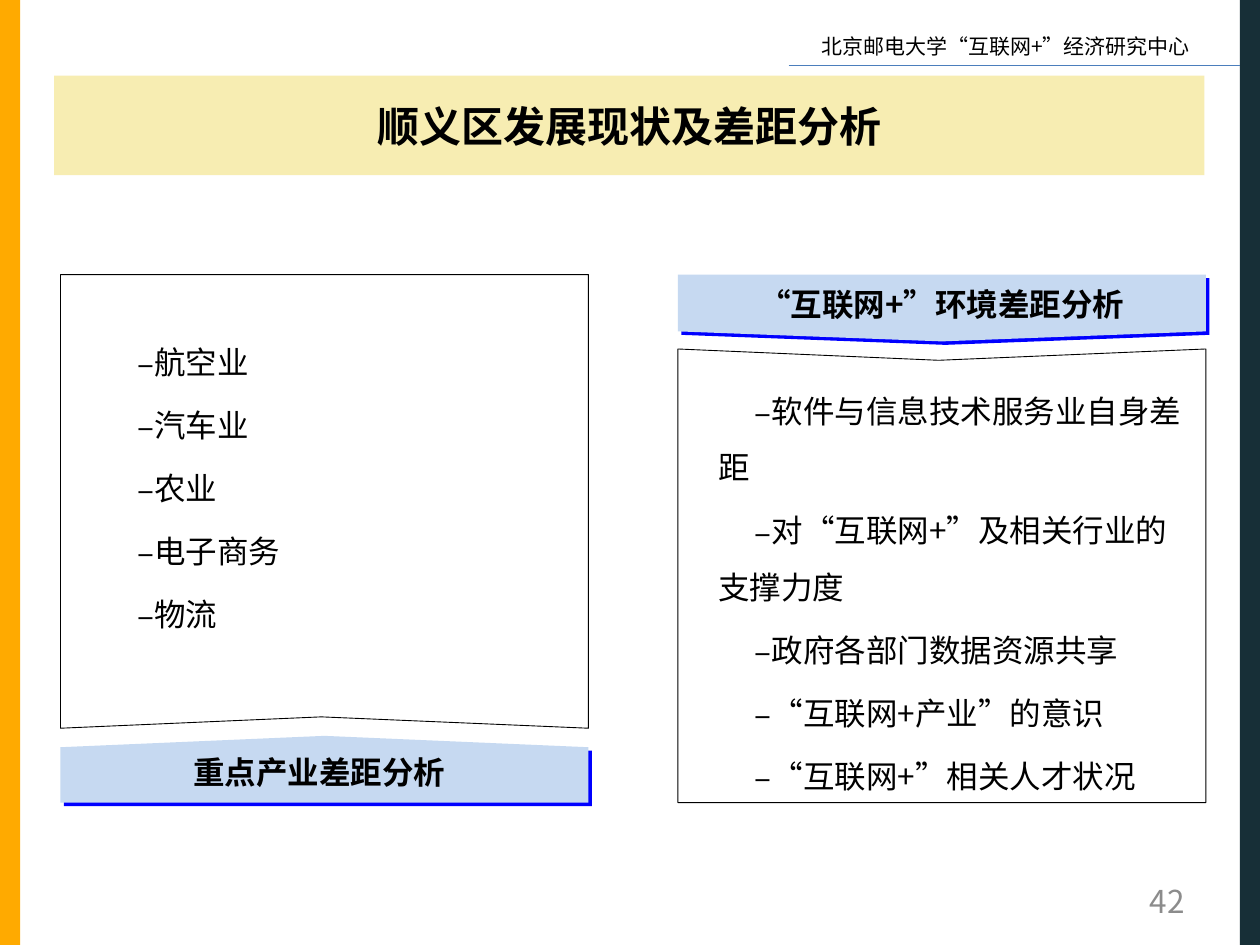
from lxml.etree import SubElement
from pptx import Presentation
from pptx.dml.color import RGBColor
from pptx.enum.shapes import MSO_CONNECTOR, MSO_SHAPE
from pptx.enum.text import MSO_ANCHOR, PP_ALIGN
from pptx.oxml.ns import qn
from pptx.util import Inches, Pt

FONT = "Noto Sans CJK SC"
BLACK = RGBColor(0x00, 0x00, 0x00)
GRAY = RGBColor(0x8C, 0x8C, 0x8C)
ORANGE = RGBColor(0xFF, 0xAA, 0x00)
DARK_TEAL = RGBColor(0x17, 0x2F, 0x37)
RULE_BLUE = RGBColor(0x4B, 0x7E, 0xBC)
PALE_BLUE = RGBColor(0xC6, 0xD9, 0xF1)
SHADOW_BLUE = RGBColor(0x00, 0x00, 0xFF)
GOLD = RGBColor(0xE9, 0xCD, 0x23)

HEADER = "北京邮电大学“互联网+”经济研究中心"
TITLE = "顺义区发展现状及差距分析"
PAGE_NUMBER = "42"
PANELS = [
    {
        "heading": "重点产业差距分析",
        "items": ["航空业", "汽车业", "农业", "电子商务", "物流"],
        "left": 0.48, "heading_below": True, "notch": 0.17,
        "label_offset": (0.27, 0.19), "list_offset": 0.39,
    },
    {
        "heading": "“互联网+”环境差距分析",
        "items": ["软件与信息技术服务业自身差距", "对“互联网+”及相关行业的支撑力度",
                  "政府各部门数据资源共享", "“互联网+产业”的意识", "“互联网+”相关人才状况"],
        "left": 5.38, "heading_below": False, "notch": 0.15,
        "label_offset": (0.31, 0.13), "list_offset": 0.19,
    },
]
PANEL_TOP, PANEL_BOTTOM, PANEL_WIDTH = 2.18, 6.37, 4.19
BODY_HEIGHT, HEADING_HEIGHT, PEAK = 3.6, 0.53, 0.09


def add_run(paragraph, text, size, color=BLACK, bold=False):
    run = paragraph.add_run()
    run.text = text
    run.font.name = FONT
    run.font.size = Pt(size)
    run.font.bold = bold
    run.font.color.rgb = color
    SubElement(run.font._element, qn("a:ea"), typeface=FONT)


def add_box(slide, left, top, width, height, inset=None, anchor=MSO_ANCHOR.TOP):
    box = slide.shapes.add_textbox(Inches(left), Inches(top), Inches(width), Inches(height))
    frame = box.text_frame
    frame.word_wrap = True
    frame.vertical_anchor = anchor
    if inset is not None:
        frame.margin_left = frame.margin_right = Inches(inset)
        frame.margin_top = frame.margin_bottom = Inches(inset)
    return frame


def add_filled(slide, preset, left, top, width, height, color):
    shape = slide.shapes.add_shape(preset, Inches(left), Inches(top), Inches(width), Inches(height))
    shape.shadow.inherit = False
    shape.fill.solid()
    shape.fill.fore_color.rgb = color
    shape.line.fill.background()
    return shape


def add_dash_bullet(paragraph):
    properties = paragraph._p.get_or_add_pPr()
    properties.set("marL", str(Inches(0.21)))
    properties.set("indent", str(Inches(0.29)))
    bullet_color = SubElement(properties, qn("a:buClr"))
    SubElement(bullet_color, qn("a:srgbClr"), val=str(BLACK))
    SubElement(properties, qn("a:buFont"), typeface=FONT)
    SubElement(properties, qn("a:buChar"), char="–")
    tabs = SubElement(properties, qn("a:tabLst"))
    SubElement(tabs, qn("a:tab"), pos=str(Inches(9.32)), algn="r")


def add_heading_plate(slide, left, top, panel):
    """Draw the pentagon, turned so that its point faces up or down."""
    plate = add_filled(slide, MSO_SHAPE.PENTAGON,
                       left + (PANEL_WIDTH - HEADING_HEIGHT) / 2,
                       top + (HEADING_HEIGHT - PANEL_WIDTH) / 2,
                       HEADING_HEIGHT, PANEL_WIDTH, PALE_BLUE)
    plate.adjustments[0] = panel["notch"]
    plate.rotation = 270 if panel["heading_below"] else 90
    effects = plate._element.spPr.find(qn("a:effectLst"))
    shadow = SubElement(effects, qn("a:outerShdw"), dist=str(Pt(2.8)),
                        dir=str(45 * 60000), algn="ctr", rotWithShape="0")
    SubElement(shadow, qn("a:srgbClr"), val=str(SHADOW_BLUE))


def add_body_outline(slide, left, top, heading_below):
    """Draw the frame whose side facing the heading is bent in the middle."""
    right, bottom = left + PANEL_WIDTH, top + BODY_HEIGHT
    near, far = (bottom, top) if heading_below else (top, bottom)
    peak = near - PEAK if heading_below else near + PEAK
    corners = [(left + 2.07, peak), (right, near), (right, far), (left, far)]
    builder = slide.shapes.build_freeform(Inches(left), Inches(near))
    builder.add_line_segments([(Inches(x), Inches(y)) for x, y in corners], close=True)
    outline = builder.convert_to_shape()
    outline.shadow.inherit = False
    outline.fill.background()
    outline.line.color.rgb = BLACK
    outline.line.width = Pt(0.5)


def add_panel(slide, panel):
    left, below = panel["left"], panel["heading_below"]
    body_top = PANEL_TOP if below else PANEL_BOTTOM - BODY_HEIGHT
    heading_top = PANEL_BOTTOM - HEADING_HEIGHT if below else PANEL_TOP

    add_heading_plate(slide, left, heading_top, panel)
    add_body_outline(slide, left, body_top, below)

    frame = add_box(slide, left + 0.11, body_top + panel["list_offset"], 3.99, 0.23, inset=0)
    for index, item in enumerate(panel["items"]):
        paragraph = frame.add_paragraph() if index else frame.paragraphs[0]
        add_dash_bullet(paragraph)
        paragraph.level = 1
        paragraph.line_spacing = 1.5
        paragraph.space_before = Pt(3.6 if index else 0)
        add_run(paragraph, item, 18)

    dx, dy = panel["label_offset"]
    label = add_box(slide, left + dx, heading_top + dy, 3.57, 0.2, 0, MSO_ANCHOR.MIDDLE)
    label.paragraphs[0].alignment = PP_ALIGN.CENTER
    add_run(label.paragraphs[0], panel["heading"], 18, bold=True)


def main():
    presentation = Presentation()
    presentation.slide_width, presentation.slide_height = Inches(10), Inches(7.5)
    slide = presentation.slides.add_slide(presentation.slide_layouts[6])

    for left, color in [(0, ORANGE), (9.84, DARK_TEAL)]:
        add_filled(slide, MSO_SHAPE.RECTANGLE, left, 0, 0.16, 7.5, color)

    header = add_box(slide, 6.42, 0.22, 3.23, 0.3)
    add_run(header.paragraphs[0], HEADER, 12)
    rule = slide.shapes.add_connector(MSO_CONNECTOR.STRAIGHT, Inches(6.26), Inches(0.52),
                                      Inches(9.84), Inches(0.52))
    rule.line.color.rgb = RULE_BLUE
    rule.line.width = Pt(0.75)
    SubElement(rule._element.spPr, qn("a:effectLst"))

    number = add_box(slide, 7.17, 6.95, 2.33, 0.4, anchor=MSO_ANCHOR.MIDDLE)
    number.paragraphs[0].alignment = PP_ALIGN.RIGHT
    add_run(number.paragraphs[0], PAGE_NUMBER, 18, GRAY)

    for panel in PANELS:
        add_panel(slide, panel)

    banner = add_filled(slide, MSO_SHAPE.RECTANGLE, 0.43, 0.6, 9.13, 0.79, GOLD)
    banner_color = banner._element.spPr.find(qn("a:solidFill")).find(qn("a:srgbClr"))
    SubElement(banner_color, qn("a:alpha"), val="35000")
    banner.text_frame.vertical_anchor = MSO_ANCHOR.MIDDLE
    banner.text_frame.paragraphs[0].alignment = PP_ALIGN.CENTER
    add_run(banner.text_frame.paragraphs[0], TITLE, 24, bold=True)

    presentation.save("out.pptx")


if __name__ == "__main__":
    main()
